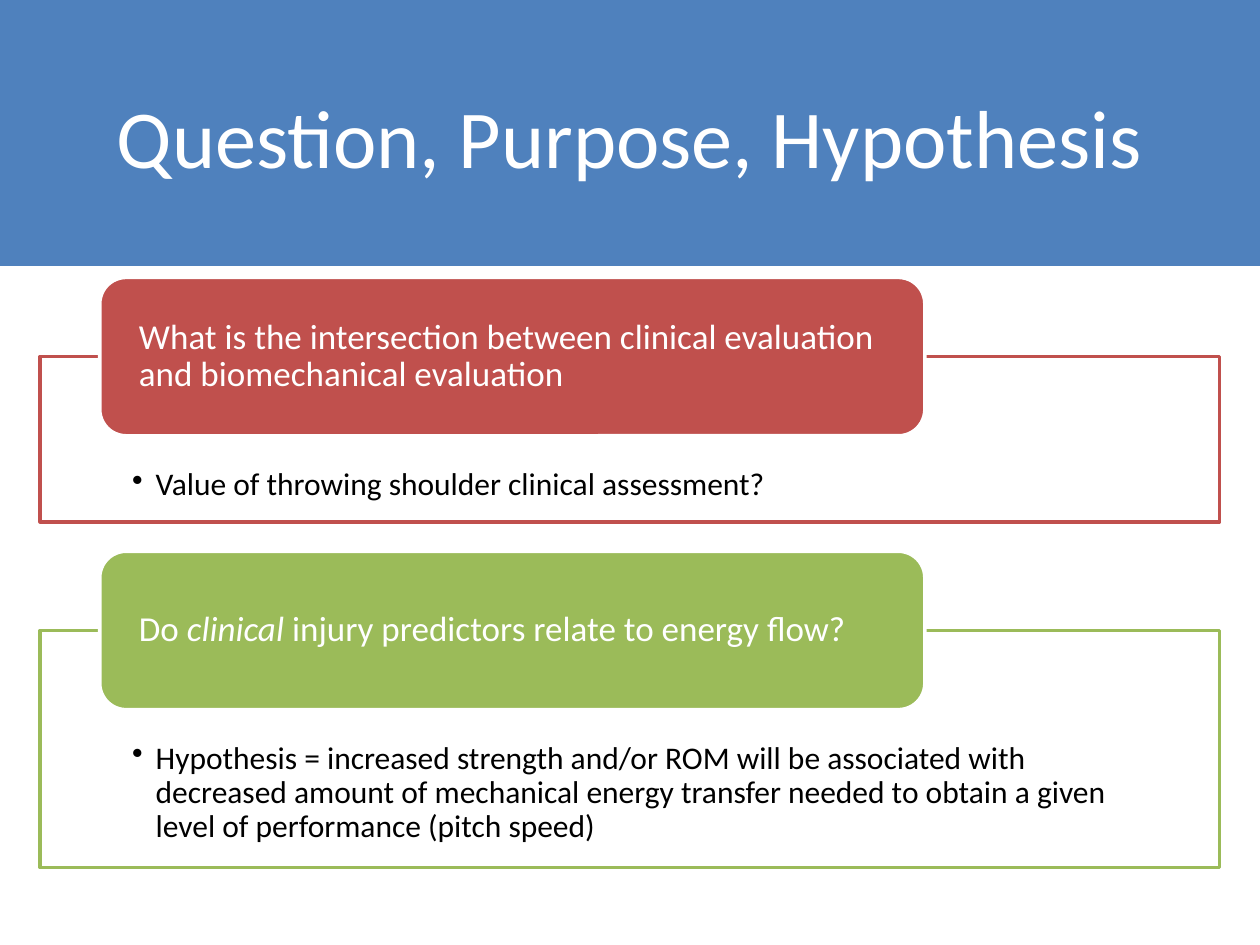
import pptx
import pptx.util
import pptx.dml.color
import pptx.enum.shapes
import pptx.enum.text
import pptx.oxml.ns
import lxml.etree

Pt = pptx.util.Pt
RGB = pptx.dml.color.RGBColor
KIND = pptx.enum.shapes.MSO_SHAPE
ALIGN = pptx.enum.text.PP_ALIGN
ANCHOR = pptx.enum.text.MSO_ANCHOR

BLUE = RGB(0x4F, 0x81, 0xBD)
RED = RGB(0xC0, 0x50, 0x4D)
GREEN = RGB(0x9B, 0xBB, 0x59)
WHITE = RGB(0xFF, 0xFF, 0xFF)
BLACK = RGB(0, 0, 0)

PANELS = [
    (158.5, 94.5, RED,
     [("What is the intersection between clinical evaluation "
       "and biomechanical evaluation", False)],
     "Value of throwing shoulder clinical assessment?"),
    (315, 135.5, GREEN,
     [("Do ", False), ("clinical", True),
      (" injury predictors relate to energy flow?", False)],
     "Hypothesis = increased strength and/or ROM will be associated with "
     "decreased amount of mechanical energy transfer needed to obtain a "
     "given level of performance (pitch speed)"),
]
TAB_HIGH = 90.5


def add_box(slide, kind, box, fill, line=None):
    shape = slide.shapes.add_shape(kind, *map(Pt, box))
    shape.shadow.inherit = False
    shape.fill.solid()
    shape.fill.fore_color.rgb = fill
    if line is None:
        shape.line.fill.background()
    else:
        shape.line.color.rgb = line
        shape.line.width = Pt(2)
    return shape


def set_frame(shape, anchor, side, top=0, bottom=0):
    frame = shape.text_frame
    frame.word_wrap = True
    frame.vertical_anchor = anchor
    frame.margin_left = frame.margin_right = Pt(side)
    frame.margin_top = Pt(top)
    frame.margin_bottom = Pt(bottom)
    return frame.paragraphs[0]


def set_font(para, size, color, align=ALIGN.LEFT):
    para.alignment = align
    para.font.name = "Calibri"
    para.font.size = Pt(size)
    para.font.color.rgb = color


def add_bullet(para, indent):
    props = para._p.get_or_add_pPr()
    props.set("marL", str(Pt(indent)))
    props.set("indent", str(-Pt(indent)))
    mark = lxml.etree.SubElement(props, pptx.oxml.ns.qn("a:buChar"))
    mark.set("char", "•")


def add_title(slide, text):
    band = add_box(slide, KIND.RECTANGLE, (0, -0.5, 720, 152.5), BLUE)
    title = slide.shapes.title
    title.element.addprevious(band.element)
    title.left, title.top, title.width, title.height = map(
        Pt, (23, 25, 674, 104.5))
    title.text_frame.text = text
    para = set_frame(title, ANCHOR.MIDDLE, 7.2, 3.6, 3.6)
    set_font(para, 47, WHITE, ALIGN.CENTER)


def add_panel(slide, top, high, color, head, point):
    box = (23, top + TAB_HIGH / 2, 674, high)
    body = add_box(slide, KIND.RECTANGLE, box, WHITE, color)
    para = set_frame(body, ANCHOR.TOP, 52.5, 64, 10)
    para.text = point
    add_bullet(para, 13.5)
    para.line_spacing = 0.9
    set_font(para, 18, BLACK)

    box = (57, top, 471.5, TAB_HIGH)
    tab = add_box(slide, KIND.ROUNDED_RECTANGLE, box, color, WHITE)
    para = set_frame(tab, ANCHOR.MIDDLE, 18)
    for text, slant in head:
        run = para.add_run()
        run.text = text
        if slant:
            run.font.italic = True
    para.line_spacing = 0.9
    set_font(para, 20, WHITE)


def main():
    deck = pptx.Presentation()
    deck.slide_width, deck.slide_height = Pt(720), Pt(540)
    slide = deck.slides.add_slide(deck.slide_layouts[5])
    add_title(slide, "Question, Purpose, Hypothesis")
    for panel in PANELS:
        add_panel(slide, *panel)
    deck.save("out.pptx")


if __name__ == "__main__":
    main()
